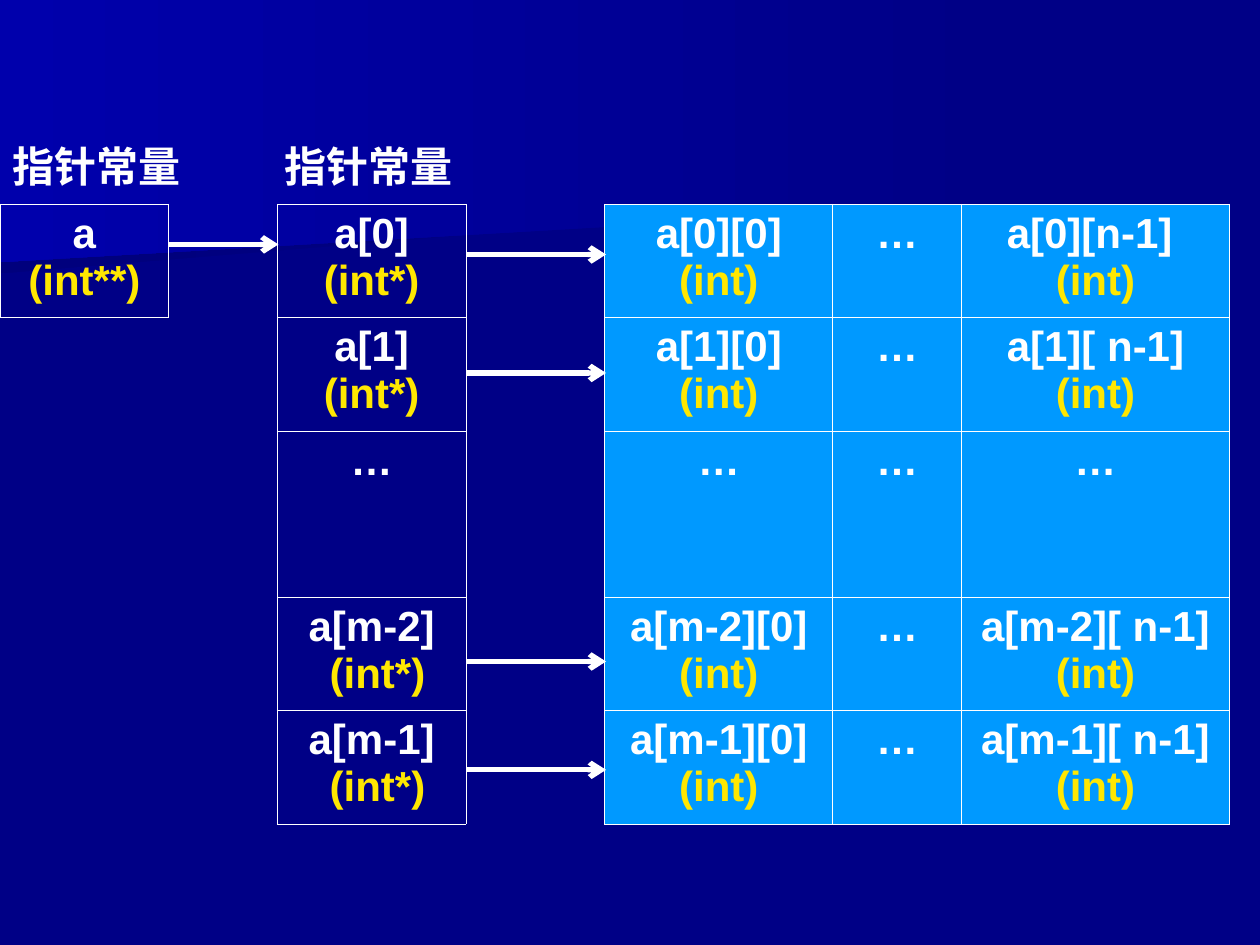
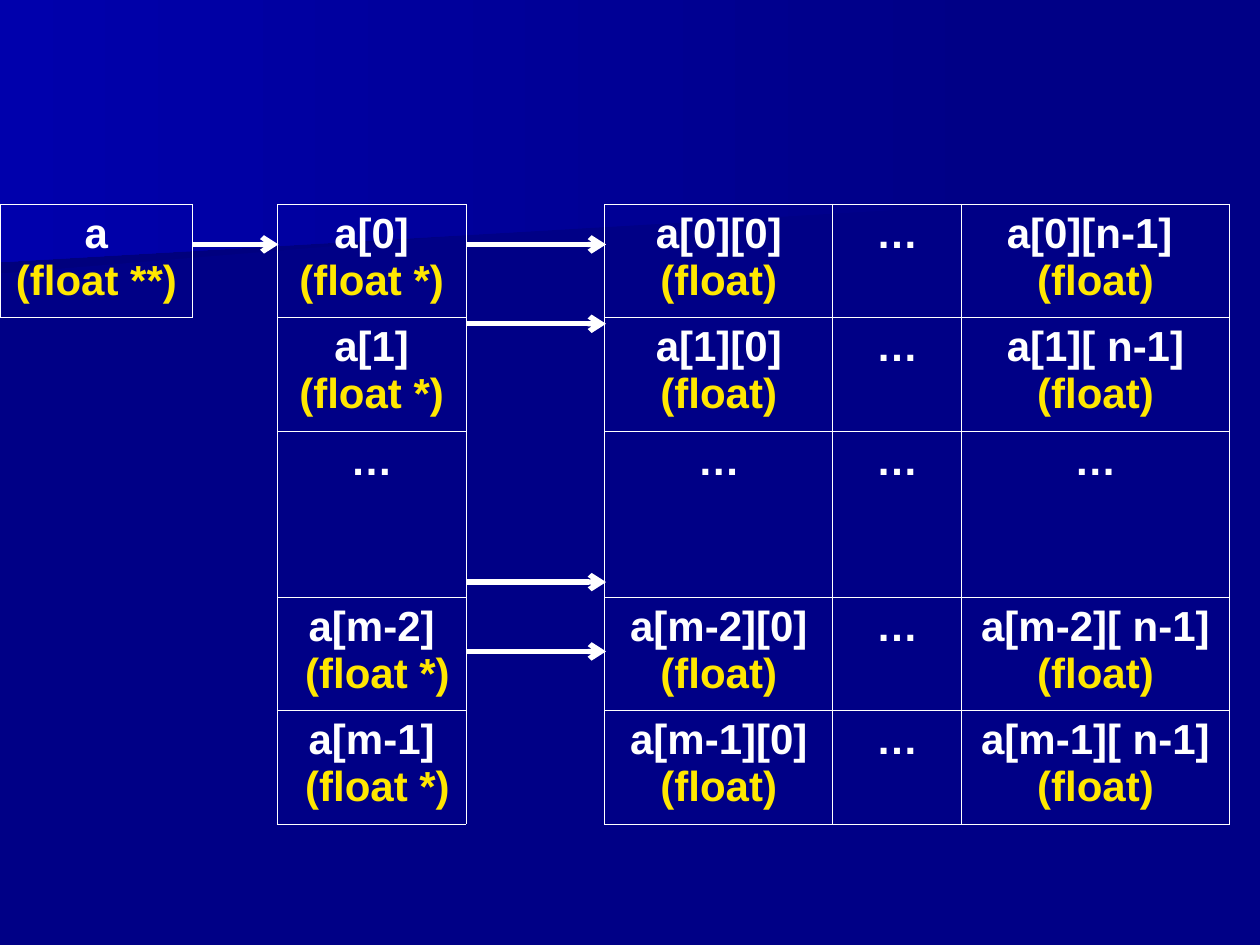
import pptx
import pptx.dml.color
import pptx.enum.shapes
import pptx.enum.text
import pptx.oxml
import pptx.oxml.ns
import pptx.util
from lxml import etree
from pptx.util import Inches

NAVY, WHITE, YELLOW, SKY = "000086", "FFFFFF", "FFE701", "0099FF"
BANDS = [
    ("00007D", [(7.78, 1.53), (0, 2.17), (0, 1.01), (7.79, 1.01), (7.78, 1.28)]),
    ("0000AC", [(7.92, 1.62), (0, 2.08), (0, 0), (7.92, 0)]),
]
ROW_HEIGHTS = [0.9, 0.9, 1.32, 0.9, 0.9]
SHARED_WIDTHS = [1.5, 1.1, 1.81, 1.02, 2.13]
ROW_INDEXES = ["0", "1", None, "m-2", "m-1"]
TABLE_TOP = 1.62
POINTERS_LEFT, POINTERS_RIGHT, ELEMENTS_LEFT = 2.21, 3.7, 4.81
ELEMENT_COLUMN = 4
NO_STYLE = "{2D5ABB26-0587-4C30-8999-92F81FD0307C}"
SIDES = {"lnL": (0, -1), "lnR": (0, 1), "lnT": (-1, 0), "lnB": (1, 0)}


def color(value):
    return pptx.dml.color.RGBColor.from_string(value)


def add_child(parent, tag, **attributes):
    return etree.SubElement(parent, pptx.oxml.ns.qn(tag), attributes)


def array_cells(kind, space):
    cells = {(0, 0): ("a", f"({kind}{space}**)")}
    for row, index in enumerate(ROW_INDEXES):
        if index is None:
            cells.update({(row, column): ("…",) for column in (2, 4, 5, 6)})
            continue
        indent = " " if index.startswith("m") else ""
        last = "a[0][n-1] " if index == "0" else f"a[{index}][ n-1]"
        cells[row, 2] = (f"a[{index}]", f"{indent}({kind}{space}*)")
        cells[row, 4] = (f"a[{index}][0]", f"({kind})")
        cells[row, 5] = ("…",)
        cells[row, 6] = (last, f"({kind})")
    return cells


class ArrayDeck:
    font = {"name": "Arial", "size": pptx.util.Pt(24), "bold": True}

    def __init__(self):
        self.deck = pptx.Presentation()
        self.deck.slide_width = Inches(10)
        self.deck.slide_height = Inches(7.5)
        self.page = None

    def add_page(self):
        self.page = self.deck.slides.add_slide(self.deck.slide_layouts[6])
        backdrop = self.page.background.fill
        backdrop.solid()
        backdrop.fore_color.rgb = color(NAVY)
        for shade, points in BANDS:
            self.add_band(shade, points)

    def add_band(self, shade, points):
        corners = [(Inches(x), Inches(y)) for x, y in points]
        outline = self.page.shapes.build_freeform(*corners[0])
        outline.add_line_segments(corners[1:], close=True)
        band = outline.convert_to_shape()
        band.shadow.inherit = False
        band.line.fill.background()
        band.fill.gradient()
        band.fill.gradient_angle = 180
        for stop, position, value in zip(band.fill.gradient_stops, (0, 1), (NAVY, shade)):
            stop.position = position
            stop.color.rgb = color(value)

    def add_span(self, para, text, value):
        span = para.add_run()
        span.text = text
        for name, setting in self.font.items():
            setattr(span.font, name, setting)
        span.font.color.rgb = color(value)

    def add_label(self, text, left):
        box = self.page.shapes.add_textbox(Inches(left), Inches(1.07), Inches(1.61), Inches(0.5))
        box.text_frame.word_wrap = True
        self.add_span(box.text_frame.paragraphs[0], text, WHITE)

    def add_borders(self, cell, sides):
        properties = cell._tc.get_or_add_tcPr()
        for side in SIDES:
            border = add_child(properties, f"a:{side}", w=str(pptx.util.Pt(0.45)))
            if side in sides:
                paint = add_child(border, "a:solidFill")
                add_child(paint, "a:srgbClr", val=WHITE)
            else:
                add_child(border, "a:noFill")

    def add_array(self, cells, widths, element_fill):
        frame = self.page.shapes.add_table(
            len(ROW_HEIGHTS), len(widths), 0, Inches(TABLE_TOP),
            Inches(sum(widths)), Inches(sum(ROW_HEIGHTS)))
        table = frame.table
        table.first_row = table.horz_banding = False
        table._tbl.tblPr.find(pptx.oxml.ns.qn("a:tableStyleId")).text = NO_STYLE
        for column, width in zip(table.columns, widths):
            column.width = Inches(width)
        for row, height in zip(table.rows, ROW_HEIGHTS):
            row.height = Inches(height)
        for row in range(len(ROW_HEIGHTS)):
            for column in range(len(widths)):
                cell = table.cell(row, column)
                used = (row, column) in cells
                self.add_borders(cell, [side for side, (down, right) in SIDES.items()
                                        if used or (row + down, column + right) in cells])
                if element_fill and column >= ELEMENT_COLUMN:
                    cell.fill.solid()
                    cell.fill.fore_color.rgb = color(element_fill)
                else:
                    cell.fill.background()
                if used:
                    self.write_cell(cell, cells[row, column])

    def write_cell(self, cell, lines):
        para = cell.text_frame.paragraphs[0]
        para.alignment = pptx.enum.text.PP_ALIGN.CENTER
        self.add_span(para, lines[0], WHITE)
        for line in lines[1:]:
            para.add_line_break()
            self.add_span(para, line, YELLOW)

    def add_arrow(self, start, end, height):
        arrow = self.page.shapes.add_connector(
            pptx.enum.shapes.MSO_CONNECTOR.STRAIGHT,
            Inches(start), Inches(height), Inches(end), Inches(height))
        arrow.line.color.rgb = color(WHITE)
        arrow.line.width = pptx.util.Pt(3)
        properties = arrow.element.spPr
        add_child(properties.find(pptx.oxml.ns.qn("a:ln")), "a:tailEnd", type="arrow")
        add_child(properties, "a:effectLst")

    def add_array_page(self, kind, space, first_widths, element_fill, arrow_heights):
        self.add_page()
        self.add_array(array_cells(kind, space), first_widths + SHARED_WIDTHS, element_fill)
        self.add_arrow(first_widths[0], POINTERS_LEFT, 1.94)
        for height in arrow_heights:
            self.add_arrow(POINTERS_RIGHT, ELEMENTS_LEFT, height)


def main():
    slides = ArrayDeck()
    slides.add_array_page("int", "", [1.34, 0.86], SKY, [2.02, 2.96, 5.25, 6.11])
    for left in (0, 2.16):
        slides.add_label("指针常量", left)
    slides.add_array_page("float", " ", [1.53, 0.67], None, [1.94, 2.57, 4.62, 5.17])
    slides.deck.save("out.pptx")


if __name__ == "__main__":
    main()
